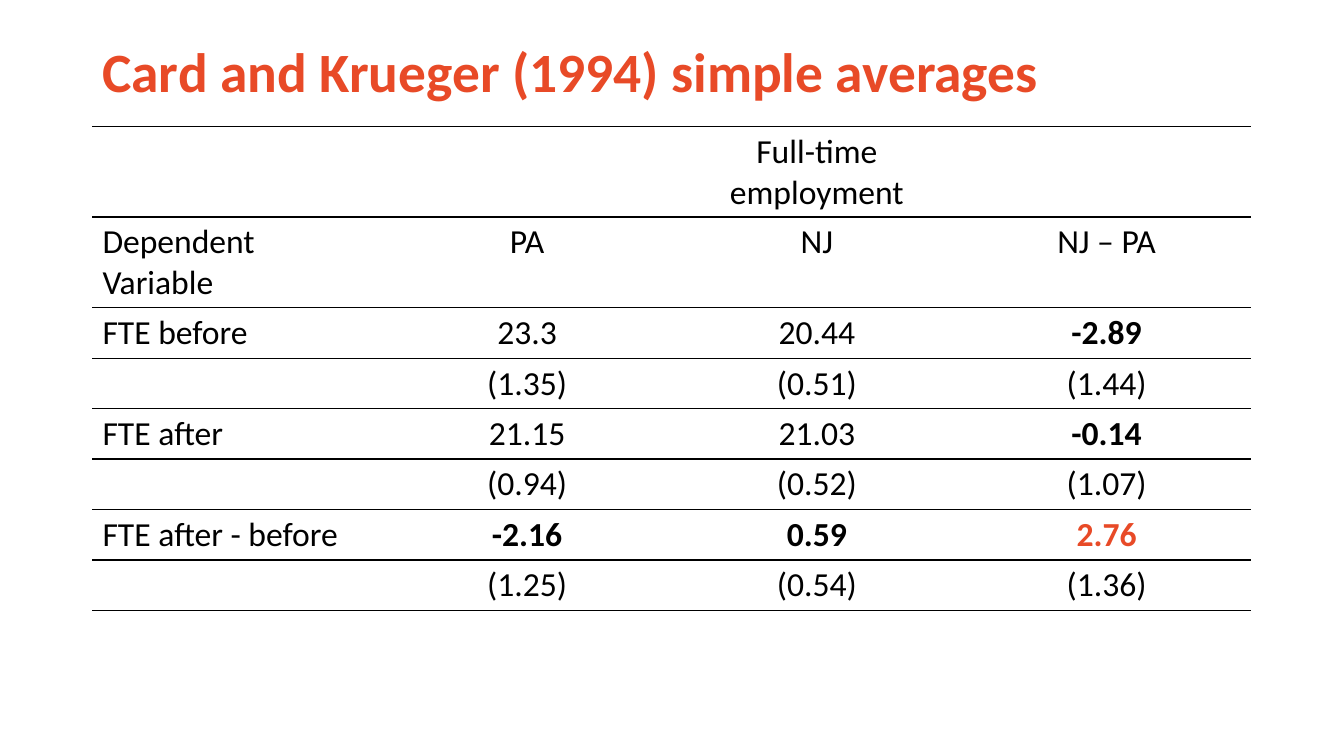
"""Build the slide of simple employment averages from Card and Krueger (1994)."""
from dataclasses import dataclass

import lxml.etree
import pptx
import pptx.dml.color
import pptx.enum.text
import pptx.oxml
import pptx.oxml.ns
import pptx.slide
import pptx.table
import pptx.text.text
import pptx.util

Cm = pptx.util.Cm
Align = pptx.enum.text.PP_ALIGN


@dataclass(frozen=True)
class Theme:
    font: str = "Calibri"
    ink: str = "000000"
    accent: str = "E84A27"
    title_size: float = 39.6
    body_size: float = 24
    rule_width: float = 1


@dataclass(frozen=True)
class Entry:
    text: str = ""
    bold: bool = False
    color: str = Theme.ink


THEME = Theme()
LEFT, WIDTH = Cm(2.33), Cm(29.21)
TABLE_TOP, TABLE_HEIGHT, ROW_HEIGHT = Cm(3.18), Cm(12.19), Cm(1.04)
ROWS: list[list[Entry]] = [
    [Entry(), Entry(), Entry("Full-time employment"), Entry()],
    [Entry("Dependent Variable"), Entry("PA"), Entry("NJ"), Entry("NJ – PA")],
    [Entry("FTE before"), Entry("23.3"), Entry("20.44"), Entry("-2.89", True)],
    [Entry(), Entry("(1.35)"), Entry("(0.51)"), Entry("(1.44)")],
    [Entry("FTE after"), Entry("21.15"), Entry("21.03"), Entry("-0.14", True)],
    [Entry(), Entry("(0.94)"), Entry("(0.52)"), Entry("(1.07)")],
    [Entry("FTE after - before"), Entry("-2.16", True), Entry("0.59", True),
     Entry("2.76", True, THEME.accent)],
    [Entry(), Entry("(1.25)"), Entry("(0.54)"), Entry("(1.36)")],
]


def add_span(para: pptx.text.text._Paragraph, entry: Entry, size: float) -> None:
    """Add one styled run to a paragraph."""
    span = para.add_run()
    span.text = entry.text
    span.font.name = THEME.font
    span.font.size = pptx.util.Pt(size)
    span.font.bold = entry.bold
    span.font.color.rgb = pptx.dml.color.RGBColor.from_string(entry.color)


def set_borders(cell: pptx.table._Cell) -> None:
    """Rule a cell above and below and leave its sides open."""
    qn = pptx.oxml.ns.qn
    properties = cell._tc.get_or_add_tcPr()
    for index, side in enumerate("LRTB"):
        line = pptx.oxml.parse_xml(
            f'<a:ln{side} {pptx.oxml.ns.nsdecls("a")}/>')
        if side in "TB":
            line.set("w", str(pptx.util.Pt(THEME.rule_width)))
            fill = lxml.etree.SubElement(line, qn("a:solidFill"))
            lxml.etree.SubElement(fill, qn("a:srgbClr"), val=THEME.ink)
        else:
            lxml.etree.SubElement(line, qn("a:noFill"))
        properties.insert(index, line)


def add_title(page: pptx.slide.Slide) -> None:
    """Add the slide title."""
    box = page.shapes.add_textbox(LEFT, Cm(0.97), WIDTH, Cm(1.8))
    frame = box.text_frame
    frame.word_wrap = True
    frame.vertical_anchor = pptx.enum.text.MSO_ANCHOR.MIDDLE
    para = frame.paragraphs[0]
    para.line_spacing = 0.9
    title = Entry("Card and Krueger (1994) simple averages", True, THEME.accent)
    add_span(para, title, THEME.title_size)


def add_averages(page: pptx.slide.Slide) -> None:
    """Add the table of averages and standard errors."""
    holder = page.shapes.add_table(
        len(ROWS), len(ROWS[0]), LEFT, TABLE_TOP, WIDTH, TABLE_HEIGHT)
    table = holder.table
    table.first_row = False
    table.horz_banding = False
    for row_index, entries in enumerate(ROWS):
        table.rows[row_index].height = ROW_HEIGHT
        for column_index, entry in enumerate(entries):
            cell = table.cell(row_index, column_index)
            cell.fill.background()
            set_borders(cell)
            para = cell.text_frame.paragraphs[0]
            para.alignment = Align.CENTER if column_index else Align.LEFT
            if entry.text:
                add_span(para, entry, THEME.body_size)
    holder.height = TABLE_HEIGHT


def main() -> None:
    """Build and save the deck."""
    deck = pptx.Presentation()
    deck.slide_width, deck.slide_height = Cm(33.87), Cm(19.05)
    page = deck.slides.add_slide(deck.slide_layouts[6])
    add_title(page)
    add_averages(page)
    deck.save("out.pptx")


if __name__ == "__main__":
    main()
